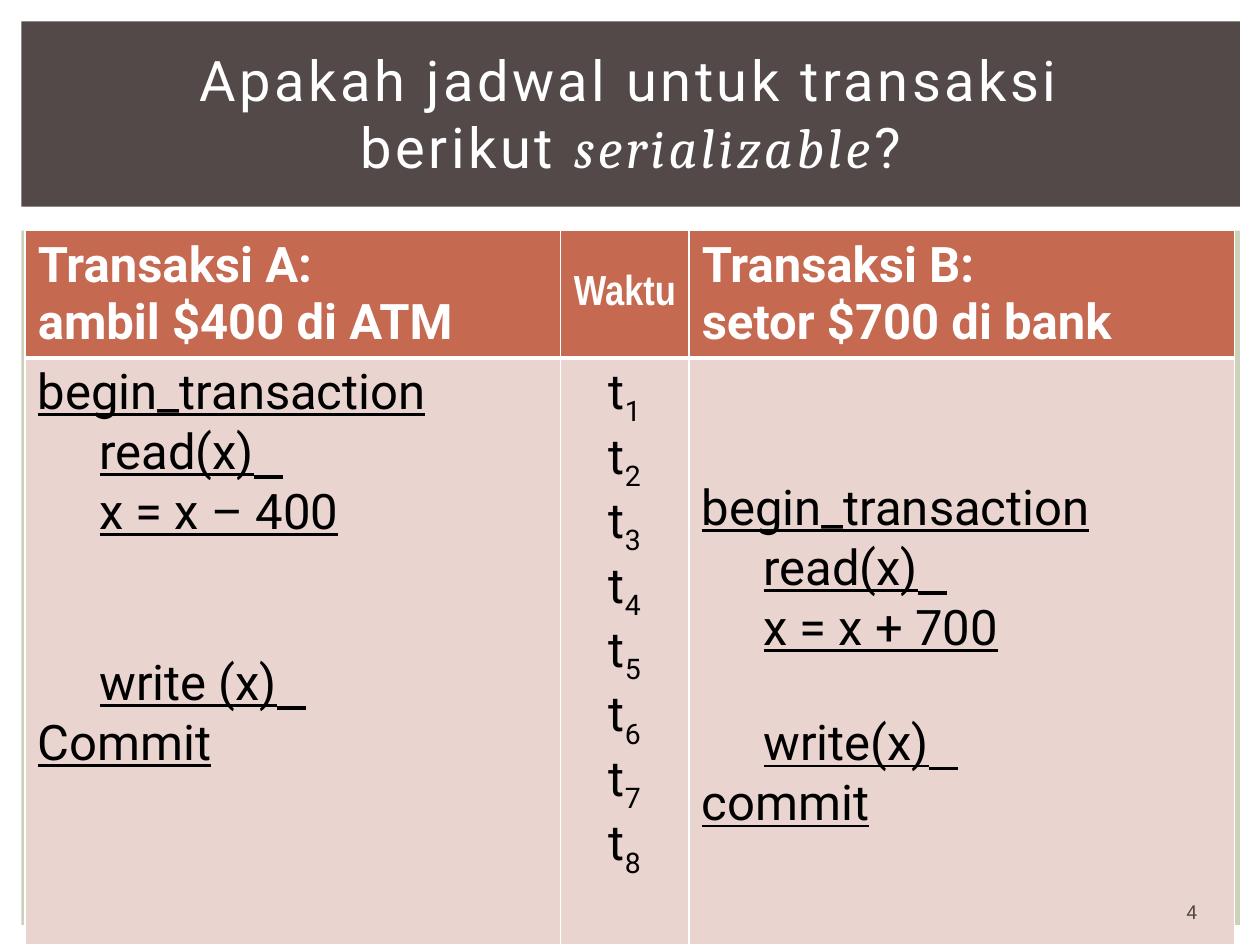
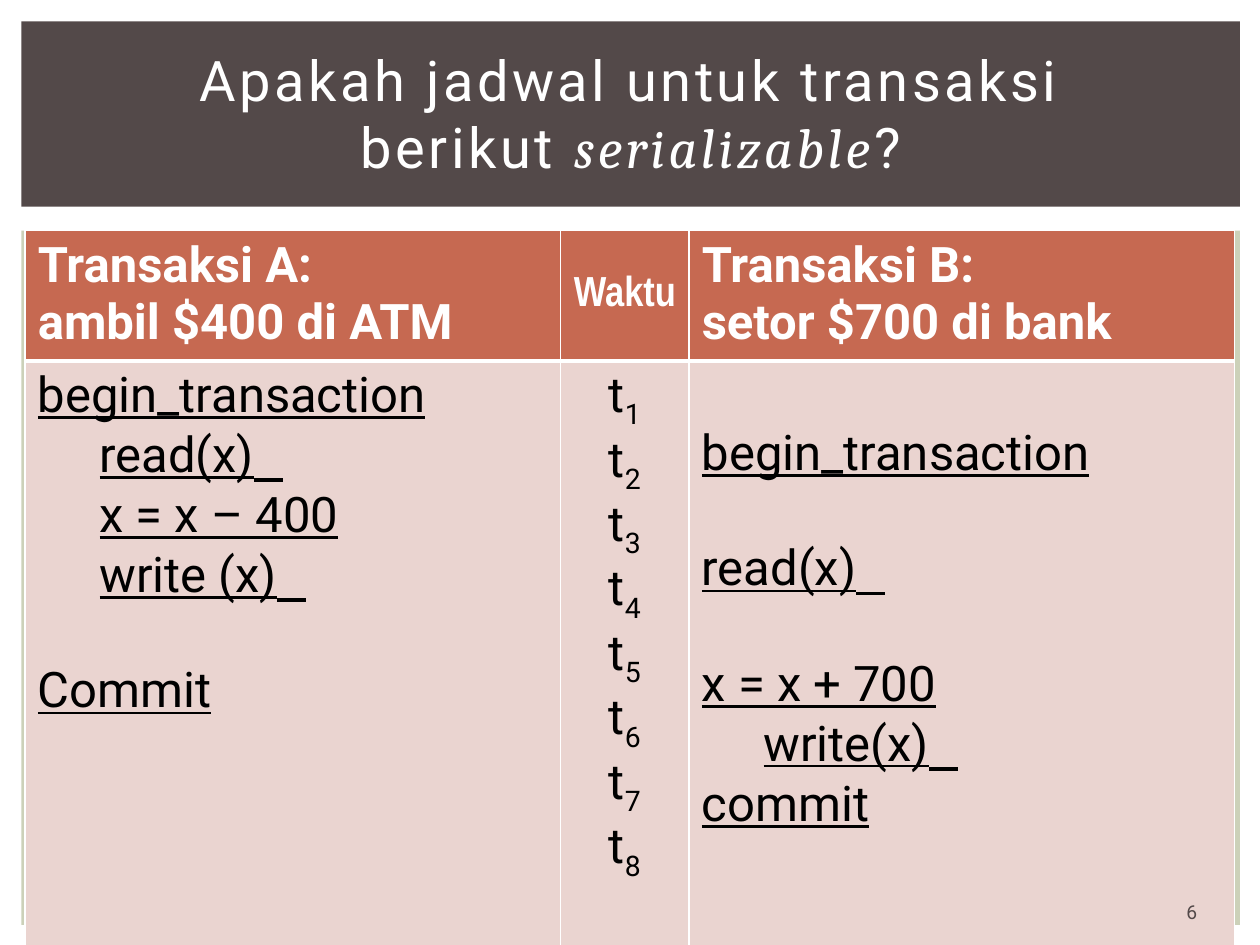
from dataclasses import dataclass

from lxml import etree
from pptx import Presentation
from pptx import util as u
from pptx.dml.color import RGBColor
from pptx.enum import shapes, text
from pptx.oxml import ns


@dataclass(frozen=True)
class Theme:
    white: str = "FFFFFF"
    black: str = "000000"
    dark: str = "534949"
    sage: str = "CCD1B9"
    rust: str = "C66951"
    blush: str = "EAD4D0"
    sans: str = "Roboto"
    narrow: str = "Arial Narrow"
    serif: str = "Cambria"
    mono: str = "Courier New"
    title_size: int = 32
    body_size: int = 28
    time_size: int = 24
    number_size: int = 11
    skipped_line: float = 31.7
    plain_line_gap: float = 1.5
    line_height: float = 0.46
    thin: int = 1
    thick: int = 3


@dataclass(frozen=True)
class Step:
    words: str
    indented: bool = False
    skipped: int = 0


LEFT, CENTER, RIGHT = text.PP_ALIGN.LEFT, text.PP_ALIGN.CENTER, text.PP_ALIGN.RIGHT
TOP, MIDDLE = text.MSO_ANCHOR.TOP, text.MSO_ANCHOR.MIDDLE


def write(para, words, font, size, color, bold=False, italic=False,
          underline=False, baseline=0, tracking=0):
    for index, line in enumerate(words.split("\n")):
        if index:
            para.add_line_break()
        span = para.add_run()
        span.text = line
        span.font.name = font
        span.font.size = u.Pt(size)
        span.font.bold = bold
        span.font.italic = italic
        span.font.underline = underline
        span.font.color.rgb = RGBColor.from_string(color)
        properties = span.font._element
        if baseline:
            properties.set("baseline", str(baseline * 1000))
        if tracking:
            properties.set("spc", str(tracking * 100))


class Slides:
    def __init__(self, theme):
        self.theme = theme
        self.deck = Presentation()
        self.deck.slide_width = u.Inches(10)
        self.deck.slide_height = u.Inches(7.5)
        self.cell_size = self.deck.slide_width / 100
        self.page = None

    def grid(self, *lengths):
        return [u.Emu(round(length * self.cell_size)) for length in lengths]

    def new_page(self):
        self.page = self.deck.slides.add_slide(self.deck.slide_layouts[6])

    def band(self, place, color):
        box = self.page.shapes.add_shape(shapes.MSO_SHAPE.RECTANGLE, *self.grid(*place))
        box.shadow.inherit = False
        box.fill.solid()
        box.fill.fore_color.rgb = RGBColor.from_string(color)
        box.line.fill.background()

    def label(self, place, align):
        box = self.page.shapes.add_textbox(*self.grid(*place))
        box.text_frame.word_wrap = True
        box.text_frame.vertical_anchor = MIDDLE
        para = box.text_frame.paragraphs[0]
        para.alignment = align
        return para

    def title(self, before, emphasis, after):
        theme = self.theme
        para = self.label((4.2, 2.5, 91.7, 12.9), CENTER)
        look = dict(size=theme.title_size, color=theme.white, tracking=2)
        write(para, before, theme.sans, **look)
        write(para, emphasis, theme.serif, italic=True, **look)
        write(para, after, theme.sans, **look)

    def number(self, value):
        para = self.label((91.3, 70.9, 4.7, 3), RIGHT)
        write(para, str(value), self.theme.sans, self.theme.number_size, self.theme.dark)

    def table(self, corner, columns, rows):
        place = self.grid(*corner, sum(columns), sum(rows))
        table = self.page.shapes.add_table(len(rows), len(columns), *place).table
        for column, width in zip(table.columns, self.grid(*columns)):
            column.width = width
        for row, height in zip(table.rows, self.grid(*rows)):
            row.height = height
        return table

    def cell(self, cell, color, heavy_side):
        cell.fill.solid()
        cell.fill.fore_color.rgb = RGBColor.from_string(color)
        properties = cell._tc.get_or_add_tcPr()
        for index, side in enumerate(("lnL", "lnR", "lnT", "lnB")):
            width = self.theme.thick if side == heavy_side else self.theme.thin
            line = etree.Element(ns.qn("a:" + side), w=str(u.Pt(width)))
            fill = etree.SubElement(line, ns.qn("a:solidFill"))
            etree.SubElement(fill, ns.qn("a:srgbClr"), val=self.theme.white)
            properties.insert(index, line)

    def heading(self, cell, words, font, size, align, anchor):
        self.cell(cell, self.theme.rust, "lnB")
        cell.vertical_anchor = anchor
        para = cell.text_frame.paragraphs[0]
        para.alignment = align
        write(para, words, font, size, self.theme.white, bold=True)

    def paragraphs(self, cell, items):
        self.cell(cell, self.theme.blush, "lnT")
        frame = cell.text_frame
        for index, item in enumerate(items):
            yield index, item, frame.add_paragraph() if index else frame.paragraphs[0]

    def steps(self, cell, steps):
        theme = self.theme
        look = dict(size=theme.body_size, color=theme.black, underline=True)
        for index, step, para in self.paragraphs(cell, steps):
            if index == 0:
                cell.margin_top = u.Inches(0.05 + step.skipped * theme.line_height)
            elif step.skipped:
                para.space_before = u.Pt(step.skipped * theme.skipped_line)
            if step.indented:
                para._p.get_or_add_pPr().set("marL", str(self.grid(4.9)[0]))
            write(para, step.words.rstrip(), theme.sans, **look)
            if step.words.endswith(" "):
                write(para, " ", theme.mono, bold=True, **look)
            else:
                para.space_after = u.Pt(theme.plain_line_gap)

    def times(self, cell, count):
        theme = self.theme
        for _, moment, para in self.paragraphs(cell, range(1, count + 1)):
            para.alignment = CENTER
            write(para, "t", theme.sans, theme.body_size, theme.black)
            write(para, str(moment), theme.sans, theme.body_size, theme.black, baseline=-25)

    def schedule(self, withdrawal, deposit):
        theme = self.theme
        table = self.table((2, 18.3), (42.5, 10.2, 43.3), (10.1, 46.6))
        wide = (theme.sans, theme.body_size, LEFT, TOP)
        self.heading(table.cell(0, 0), "Transaksi A:\nambil $400 di ATM", *wide)
        self.heading(table.cell(0, 1), "Waktu", theme.narrow, theme.time_size, CENTER, MIDDLE)
        self.heading(table.cell(0, 2), "Transaksi B:\nsetor $700 di bank", *wide)
        self.steps(table.cell(1, 0), withdrawal)
        self.times(table.cell(1, 1), 8)
        self.steps(table.cell(1, 2), deposit)

    def schedule_page(self, number, withdrawal, deposit):
        self.new_page()
        self.band((1.7, 18.3, 96.7, 55.1), self.theme.sage)
        self.band((1.7, 1.7, 96.7, 14.7), self.theme.dark)
        self.schedule(withdrawal, deposit)
        self.title("Apakah jadwal untuk transaksi\nberikut ", "serializable", "?")
        self.number(number)


def main():
    slides = Slides(Theme())
    withdrawal_start = [
        Step("begin_transaction"),
        Step("read(x) ", indented=True),
        Step("x = x – 400", indented=True),
    ]
    slides.schedule_page(
        4,
        withdrawal_start + [Step("write (x) ", indented=True, skipped=2), Step("Commit")],
        [
            Step("begin_transaction", skipped=2),
            Step("read(x) ", indented=True),
            Step("x = x + 700", indented=True),
            Step("write(x) ", indented=True, skipped=1),
            Step("commit"),
        ],
    )
    slides.schedule_page(
        6,
        withdrawal_start + [Step("write (x) ", indented=True), Step("Commit", skipped=1)],
        [
            Step("begin_transaction", skipped=1),
            Step("read(x) ", skipped=1),
            Step("x = x + 700", skipped=1),
            Step("write(x) ", indented=True),
            Step("commit"),
        ],
    )
    slides.deck.save("out.pptx")


if __name__ == "__main__":
    main()
